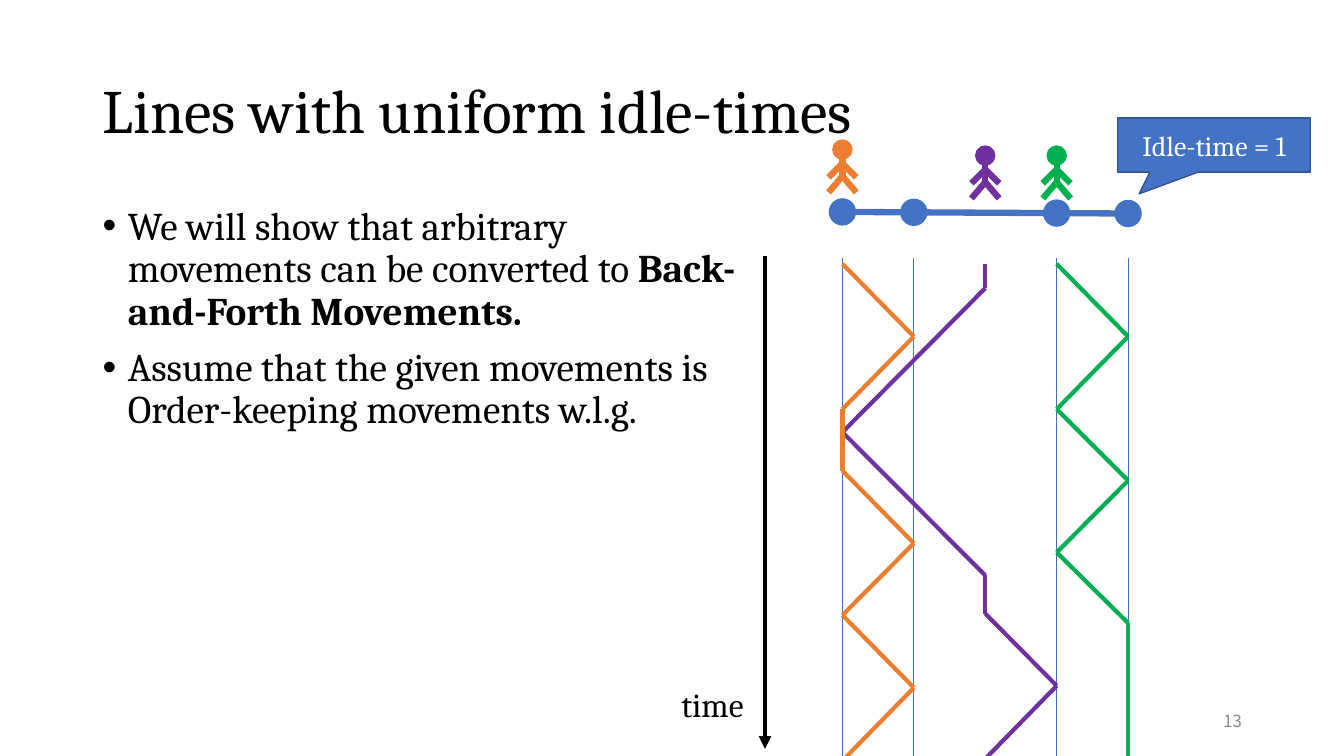
from dataclasses import dataclass
from itertools import pairwise

from lxml.etree import SubElement
from pptx import Presentation
from pptx.dml.color import RGBColor
from pptx.enum.shapes import MSO_CONNECTOR as Connector, MSO_SHAPE as Shape
from pptx.enum.text import MSO_ANCHOR as Anchor, MSO_AUTO_SIZE as AutoSize, PP_ALIGN as Align
from pptx.oxml.ns import qn
from pptx.util import Cm, Pt


@dataclass(frozen=True)
class Theme:
    black: str = "000000"
    white: str = "FFFFFF"
    grey: str = "8C8C8C"
    blue: str = "4472C4"
    dark_blue: str = "325491"
    orange: str = "ED7D31"
    purple: str = "7030A0"
    green: str = "00B050"
    font: str = "Cambria"
    number_font: str = "Noto Sans CJK JP"
    title_size: int = 44
    body_size: int = 28
    time_size: int = 24
    callout_size: int = 20
    number_size: int = 12
    hairline: float = 0.5
    outline: float = 1
    walk: float = 3
    heavy: float = 4.5


THEME = Theme()
NODE_TRACKS = (0, 1, 3, 4)
AGENTS = (
    (THEME.purple, 2, 3.68,
     ((2, 6.65), (2, 7.26), (0, 10.89), (2, 14.5), (2, 15.46), (3, 17.28), (2, 19.12))),
    (THEME.orange, 0, 3.53,
     ((0, 6.65), (1, 8.48), (0, 10.31), (0, 11.86), (1, 13.69), (0, 15.5), (1, 17.33), (0, 19.17))),
    (THEME.green, 3, 3.68,
     ((3, 6.65), (4, 8.48), (3, 10.31), (4, 12.11), (3, 13.92), (4, 15.7), (4, 19.4))),
)
BULLETS = (
    (("We will show that arbitrary movements can be converted to ", False),
     ("Back-and-Forth Movements.", True)),
    (("Assume that the given movements is Order-keeping movements w.l.g.", False),),
)


def rgb(color):
    return RGBColor.from_string(color)


def track_x(track):
    return 21.23 + 1.8 * track


def node_y(track):
    return 5.34 + 0.01 * track


def place(shape, left, top, width, height):
    shape.left, shape.top = Cm(left), Cm(top)
    shape.width, shape.height = Cm(width), Cm(height)


def add_run(paragraph, text, size, color=THEME.black, font=THEME.font, bold=False):
    run = paragraph.add_run()
    run.text = text
    run.font.name = font
    run.font.size = Pt(size)
    run.font.bold = bold
    run.font.color.rgb = rgb(color)


def add_line(shapes, start, end, color, width):
    line = shapes.add_connector(Connector.STRAIGHT, *map(Cm, start + end))
    line.line.color.rgb = rgb(color)
    line.line.width = Pt(width)
    SubElement(line._element.spPr, qn("a:effectLst"))
    return line


def add_preset(shapes, preset, left, top, width, height, fill, outline=None):
    shape = shapes.add_shape(preset, Cm(left), Cm(top), Cm(width), Cm(height))
    shape.shadow.inherit = False
    shape.fill.solid()
    shape.fill.fore_color.rgb = rgb(fill)
    if outline:
        shape.line.color.rgb = rgb(outline)
        shape.line.width = Pt(THEME.outline)
    else:
        shape.line.fill.background()
    return shape


def add_label(slide, text, left, top, width, height, size, color, font, align, anchor, wrap):
    box = slide.shapes.add_textbox(Cm(left), Cm(top), Cm(width), Cm(height))
    frame = box.text_frame
    frame.word_wrap = wrap
    frame.vertical_anchor = anchor
    paragraph = frame.paragraphs[0]
    paragraph.alignment = align
    add_run(paragraph, text, size, color, font)


def fill_title(slide):
    title = slide.shapes.title
    place(title, 2.33, 1.02, 29.21, 3.68)
    title.text_frame.vertical_anchor = Anchor.MIDDLE
    title.text_frame.auto_size = AutoSize.NONE
    paragraph = title.text_frame.paragraphs[0]
    paragraph.alignment = Align.LEFT
    paragraph.line_spacing = 0.9
    add_run(paragraph, "Lines with uniform idle-times", THEME.title_size)


def fill_bullets(slide):
    body = slide.placeholders[1]
    place(body, 2.33, 5.08, 16.59, 12.09)
    frame = body.text_frame
    frame.auto_size = AutoSize.NONE
    for index, runs in enumerate(BULLETS):
        paragraph = frame.add_paragraph() if index else frame.paragraphs[0]
        paragraph.line_spacing = 0.9
        paragraph.space_before = Pt(10 if index else 0)
        properties = paragraph._p.get_or_add_pPr()
        properties.set("marL", str(Cm(0.64)))
        properties.set("indent", str(Cm(-0.64)))
        SubElement(properties, qn("a:buFont"), typeface="Arial")
        SubElement(properties, qn("a:buChar"), char="•")
        for text, bold in runs:
            add_run(paragraph, text, THEME.body_size, bold=bold)


def add_time_axis(slide):
    axis = add_line(slide.shapes, (19.28, 6.45), (19.28, 18.87), THEME.black, THEME.walk)
    SubElement(axis.line._get_or_add_ln(), qn("a:tailEnd"), type="triangle")
    add_label(slide, "time", 16.92, 17.12, 2.16, 1.27, THEME.time_size, THEME.black,
              THEME.font, Align.LEFT, Anchor.TOP, False)


def add_guides(slide):
    for track in NODE_TRACKS:
        x = track_x(track)
        add_line(slide.shapes, (x, 6.5), (x, 19.35), THEME.blue, THEME.hairline)


def add_walk(slide, color, stops):
    points = [(track_x(track), y) for track, y in stops]
    for start, end in pairwise(points):
        add_line(slide.shapes, start, end, color, THEME.walk)


def add_network(slide):
    add_line(slide.shapes, (track_x(0), node_y(0)), (track_x(4), node_y(4)),
             THEME.blue, THEME.heavy)
    size = 0.69
    for track in NODE_TRACKS:
        add_preset(slide.shapes, Shape.OVAL, track_x(track) - size / 2,
                   node_y(track) - size / 2, size, size, THEME.blue)


def add_agent(slide, color, track, top):
    shapes = slide.shapes.add_group_shape().shapes
    x, head, reach = track_x(track), 0.48, 0.35
    add_preset(shapes, Shape.OVAL, x - head / 2, top, head, head, color, color)
    add_line(shapes, (x, top + head), (x, top + 0.94), color, THEME.heavy)
    for joint, tip in ((0.59, 0.94), (0.91, 1.32)):
        for side in (reach, -reach):
            add_line(shapes, (x, top + joint), (x + side, top + tip), color, THEME.heavy)


def add_callout(slide):
    callout = add_preset(slide.shapes, Shape.RECTANGULAR_CALLOUT, 28.17, 2.97, 4.85, 1.37,
                         THEME.blue, THEME.dark_blue)
    callout.adjustments[0] = -0.389
    callout.adjustments[1] = 0.899
    frame = callout.text_frame
    frame.word_wrap = True
    frame.vertical_anchor = Anchor.MIDDLE
    paragraph = frame.paragraphs[0]
    paragraph.alignment = Align.CENTER
    add_run(paragraph, "Idle-time = 1", THEME.callout_size, THEME.white)


def main():
    presentation = Presentation()
    presentation.slide_width = Cm(33.87)
    presentation.slide_height = Cm(19.05)
    slide = presentation.slides.add_slide(presentation.slide_layouts[1])
    fill_title(slide)
    fill_bullets(slide)
    add_guides(slide)
    add_time_axis(slide)
    for color, _, _, stops in AGENTS:
        add_walk(slide, color, stops)
    add_network(slide)
    for color, track, top, _ in AGENTS:
        add_agent(slide, color, track, top)
    add_callout(slide)
    add_label(slide, "13", 23.93, 17.65, 7.62, 1.02, THEME.number_size, THEME.grey,
              THEME.number_font, Align.RIGHT, Anchor.MIDDLE, True)
    presentation.save("out.pptx")


if __name__ == "__main__":
    main()
